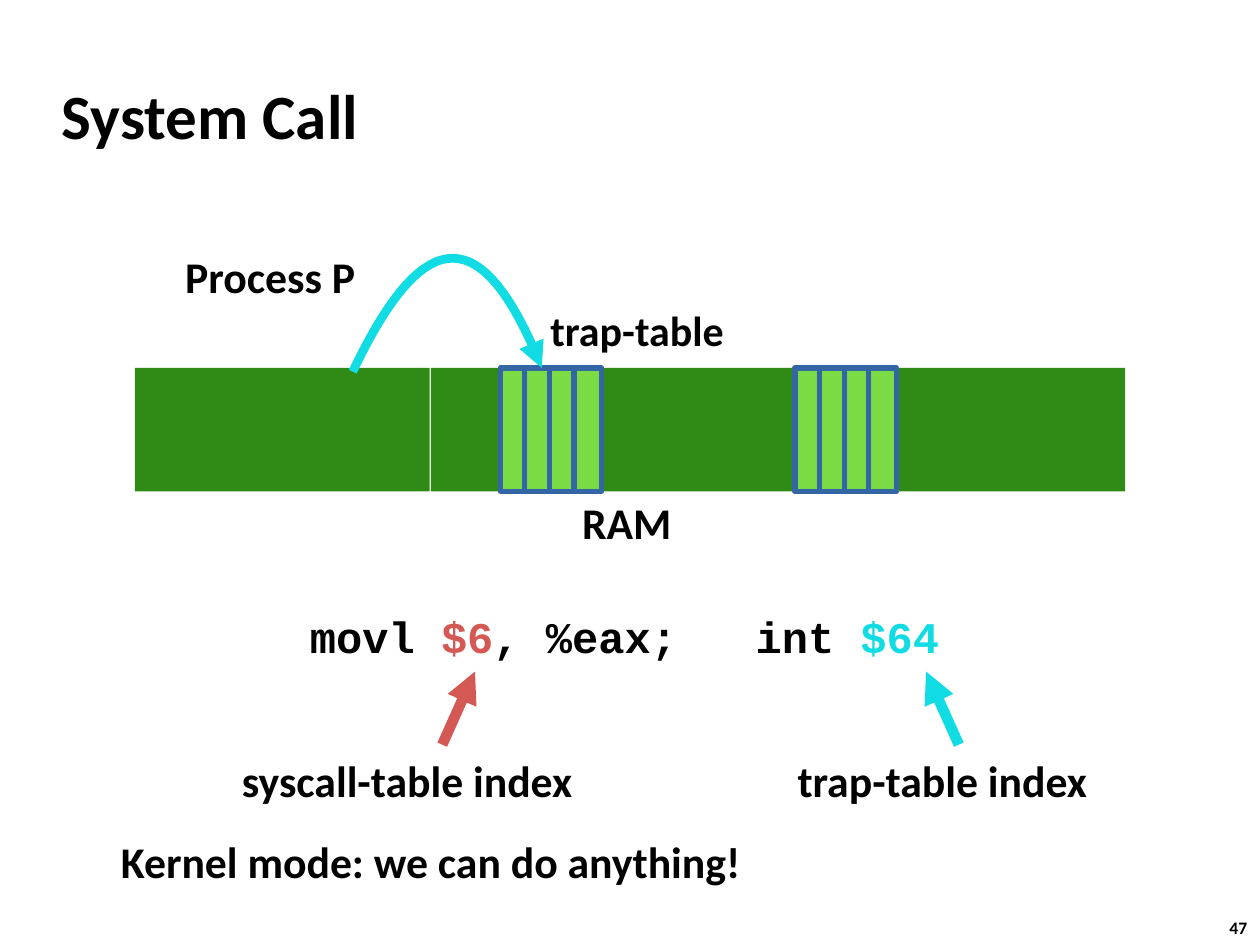
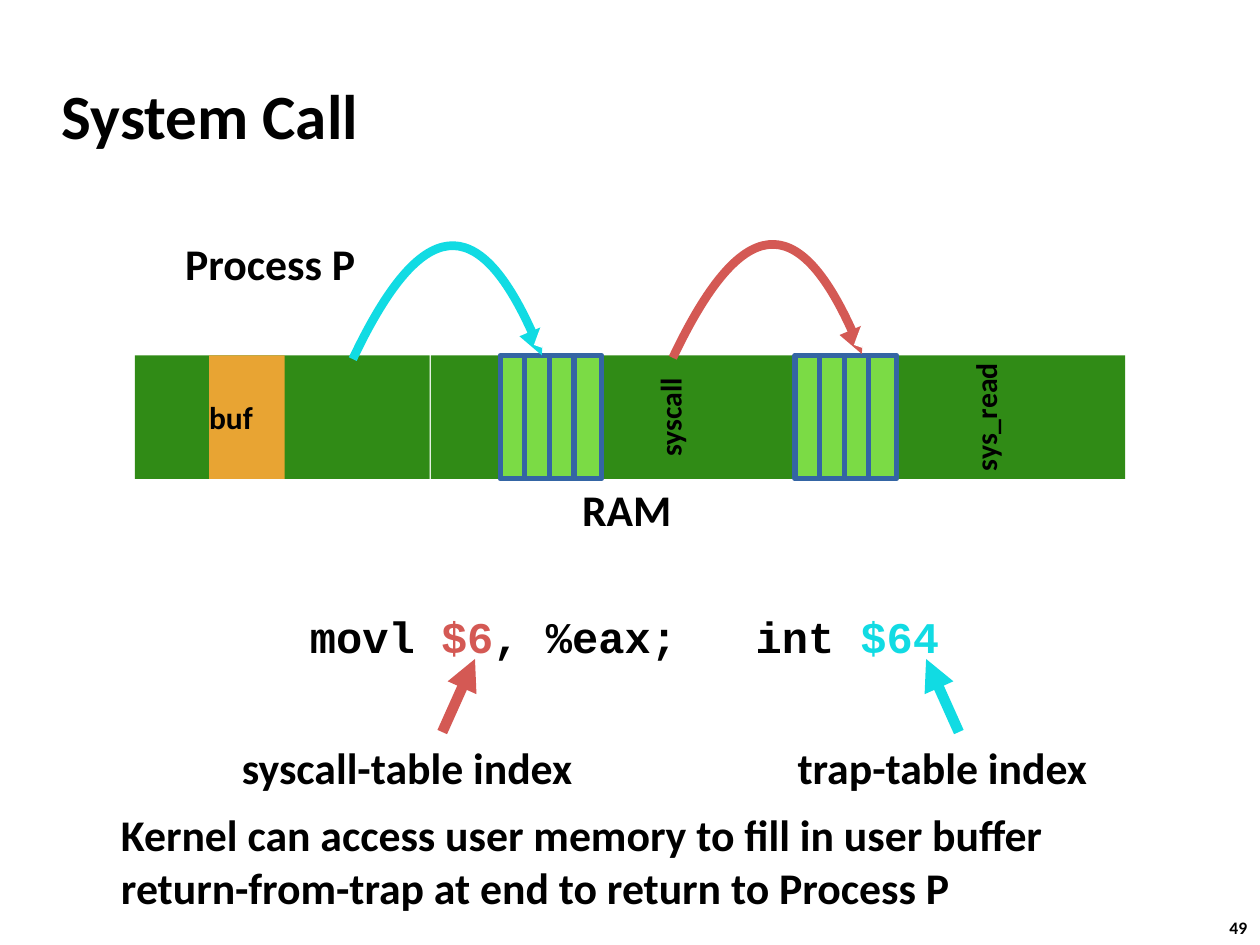
from dataclasses import dataclass

from lxml import etree
from pptx import Presentation
from pptx.dml.color import RGBColor
from pptx.enum.shapes import MSO_CONNECTOR, MSO_SHAPE
from pptx.enum.text import MSO_ANCHOR, MSO_AUTO_SIZE, PP_ALIGN
from pptx.oxml.ns import qn
from pptx.util import Inches, Pt

STRAIGHT = MSO_CONNECTOR.STRAIGHT
RECTANGLE = MSO_SHAPE.RECTANGLE
TOP, MIDDLE = MSO_ANCHOR.TOP, MSO_ANCHOR.MIDDLE
GROW, FIXED = MSO_AUTO_SIZE.SHAPE_TO_FIT_TEXT, MSO_AUTO_SIZE.NONE
LEFT = PP_ALIGN.LEFT


@dataclass(frozen=True)
class Theme:
    """Fonts, type sizes, line widths and colours of the slides."""
    font: str = "Calibri"
    code_font: str = "Courier New"
    title_size: int = 36
    label_size: int = 25
    table_label_size: int = 24
    buffer_size: int = 18
    routine_size: int = 17
    number_size: int = 10
    cell_line: int = 3
    arc_line: int = 5
    arrow_line: int = 6
    black: str = "000000"
    white: str = "FFFFFF"
    memory: str = "308B16"
    cell: str = "7BDB45"
    cell_edge: str = "3465A4"
    buffer: str = "E8A433"
    trap: str = "11DBE3"
    syscall: str = "D45954"


THEME = Theme()
MEMORY_TOP, MEMORY_HEIGHT = 2.92, 0.98
CELL_WIDTH, CELL_PITCH, CELLS_PER_TABLE = 0.22, 0.195, 4
TABLE_LEFTS = (3.97, 6.31)
LONG_ARC = {"first": (0.55, -1.16), "second": (1.05, -1.17), "end": (1.5, -0.03), "peak": -0.88}
SHORT_ARC = {"first": (0.41, -1.14), "second": (0.76, -1.14), "end": (1.05, 0.01), "peak": -0.85}
CODE = [("movl ", THEME.black), ("$6", THEME.syscall),
        (", %eax;   int ", THEME.black), ("$64", THEME.trap)]


class SlideBuilder:
    """Draws each kind of element on the current slide in one style."""

    def __init__(self, presentation, theme):
        self.presentation = presentation
        self.theme = theme
        self.slide = None

    def start(self, title, number):
        """Add a slide with its title and number."""
        layout = self.presentation.slide_layouts[5]
        self.slide = self.presentation.slides.add_slide(layout)
        self.text("%d" % number, 9.66, 7.23, 0.37, 0.27, self.theme.number_size,
                  inset=(0.1, 0.05), anchor=TOP)
        shape = self.slide.shapes.title
        place = {"left": 0.39, "top": 0.49, "width": 8.3, "height": 0.83}
        for name, value in place.items():
            setattr(shape, name, Inches(value))
        self.fill_text(shape.text_frame, [title], self.theme.title_size, (0.1, 0.05),
                       word_wrap=True, auto_size=FIXED)

    def fill_text(self, frame, lines, size, inset, font=None, **layout):
        """Write lines, each a string or a list of coloured runs."""
        across, down = map(Inches, inset)
        formats = {"margin_left": across, "margin_right": across, "margin_top": down,
                   "margin_bottom": down, "vertical_anchor": MIDDLE, **layout}
        for name, value in formats.items():
            setattr(frame, name, value)
        for index, line in enumerate(lines):
            paragraph = frame.add_paragraph() if index else frame.paragraphs[0]
            paragraph.alignment = LEFT
            runs = [(line, self.theme.black)] if isinstance(line, str) else line
            for words, color in runs:
                run = paragraph.add_run()
                run.text = words
                style = {"name": font or self.theme.font, "size": Pt(size), "bold": True}
                for name, value in style.items():
                    setattr(run.font, name, value)
                run.font.color.rgb = RGBColor.from_string(color)

    def text(self, content, left, top, width, height=0.5, size=None, font=None,
             inset=(0.04, 0.04), anchor=MIDDLE, rotation=0):
        """Add a text box from a string or a list of lines."""
        box = self.slide.shapes.add_textbox(*map(Inches, (left, top, width, height)))
        box.rotation = rotation
        lines = [content] if isinstance(content, str) else content
        self.fill_text(box.text_frame, lines, size or self.theme.label_size, inset, font,
                       word_wrap=False, auto_size=GROW, vertical_anchor=anchor)

    def block(self, left, top, width, color, edge=None):
        """Add a block of memory, with an edge if a colour is given."""
        shape = self.slide.shapes.add_shape(
            RECTANGLE, *map(Inches, (left, top, width, MEMORY_HEIGHT)))
        shape.shadow.inherit = False
        shape.fill.solid()
        shape.fill.fore_color.rgb = RGBColor.from_string(color)
        if edge:
            self.stroke(shape.line, edge, self.theme.cell_line)
        else:
            shape.line.fill.background()
        return shape

    def stroke(self, line, color, width):
        """Give a line its colour and width."""
        line.color.rgb = RGBColor.from_string(color)
        line.width = Pt(width)

    def arrowhead(self, shape):
        """Put a triangle at the end of a line."""
        line = shape.line._get_or_add_ln()
        etree.SubElement(line, qn("a:tailEnd"), type="triangle")

    def arrow(self, start, end, color):
        """Add a straight arrow."""
        connector = self.slide.shapes.add_connector(STRAIGHT, *map(Inches, start + end))
        self.stroke(connector.line, color, self.theme.arrow_line)
        self.arrowhead(connector)
        etree.SubElement(connector._element.spPr, qn("a:effectLst"))

    def arc(self, left, base, curve, color):
        """Add a curved arrow with one cubic segment."""
        points = [(Inches(x), Inches(y))
                  for x, y in (curve["first"], curve["second"], curve["end"])]
        peak, end = Inches(curve["peak"]), points[-1]
        builder = self.slide.shapes.build_freeform(0, 0, scale=1.0)
        builder.add_line_segments([(end[0] // 2, peak), end], close=False)
        shape = builder.convert_to_shape(Inches(left), Inches(base))
        outline = shape._element.find(".//" + qn("a:path"))
        for segment in outline.findall(qn("a:lnTo")):
            outline.remove(segment)
        cubic = etree.SubElement(outline, qn("a:cubicBezTo"))
        for x, y in points:
            etree.SubElement(cubic, qn("a:pt"), x=str(x), y=str(y - peak))
        shape.shadow.inherit = False
        shape.fill.background()
        self.stroke(shape.line, color, self.theme.arc_line)
        self.arrowhead(shape)

    def memory(self, rise):
        """Draw the memory bar, its two tables and the index arrows."""
        theme = self.theme
        top = MEMORY_TOP - rise
        for left, width in ((1.07, 2.34), (3.42, 5.51)):
            self.block(left, top, width, theme.memory)
        for left in TABLE_LEFTS:
            for index in range(CELLS_PER_TABLE):
                self.block(left + index * CELL_PITCH, top, CELL_WIDTH,
                           theme.cell, theme.cell_edge)
        self.text("RAM", 4.58, 3.89 - rise, 0.8)
        self.text("Process P", 1.43, 1.94 - rise, 1.44)
        self.text("syscall-table index", 1.88, 5.94 - rise, 2.73)
        self.text("trap-table index", 6.29, 5.94 - rise, 2.4)
        for start, end, color in ((3.51, 3.77, theme.syscall), (7.61, 7.35, theme.trap)):
            self.arrow((start, 5.91 - rise), (end, 5.33 - rise), color)
        self.arc(2.8, 2.95 - rise, LONG_ARC, theme.trap)
        self.text([CODE], 2.42, 4.8, 5.13, font=theme.code_font)


def kernel_mode_slide(builder):
    """Show the trap into kernel mode."""
    builder.start("System Call", 47)
    builder.memory(rise=0)
    builder.text("trap-table", 4.27, 2.37, 1.82, size=THEME.table_label_size,
                 inset=(0.1, 0.05), anchor=TOP)
    builder.text("Kernel mode: we can do anything!", 0.92, 6.58, 5.05)


def user_buffer_slide(builder):
    """Show the kernel routine reading into the user buffer."""
    builder.start("System Call", 49)
    rise = 0.1
    builder.memory(rise)
    for name, left, width in (("syscall", 4.96, 0.71), ("sys_read", 7.35, 0.94)):
        builder.text(name, left, 3.13, width, 0.36, THEME.routine_size, rotation=270)
    buffer = builder.block(1.66, MEMORY_TOP - rise, 0.6, THEME.buffer)
    builder.fill_text(buffer.text_frame, ["buf"], THEME.buffer_size, (0, 0))
    builder.arc(4.27, 2.75, SHORT_ARC, THEME.white)
    builder.arc(5.34, 2.84, LONG_ARC, THEME.syscall)
    builder.arc(6.81, 2.75, SHORT_ARC, THEME.white)
    builder.text(["Kernel can access user memory to fill in user buffer",
                  "return-from-trap at end to return to Process P"], 0.92, 6.37, 7.49, 0.92)


def main():
    """Build and save the slides."""
    presentation = Presentation()
    presentation.slide_width, presentation.slide_height = Inches(10), Inches(7.5)
    builder = SlideBuilder(presentation, THEME)
    kernel_mode_slide(builder)
    user_buffer_slide(builder)
    presentation.save("out.pptx")


if __name__ == "__main__":
    main()
